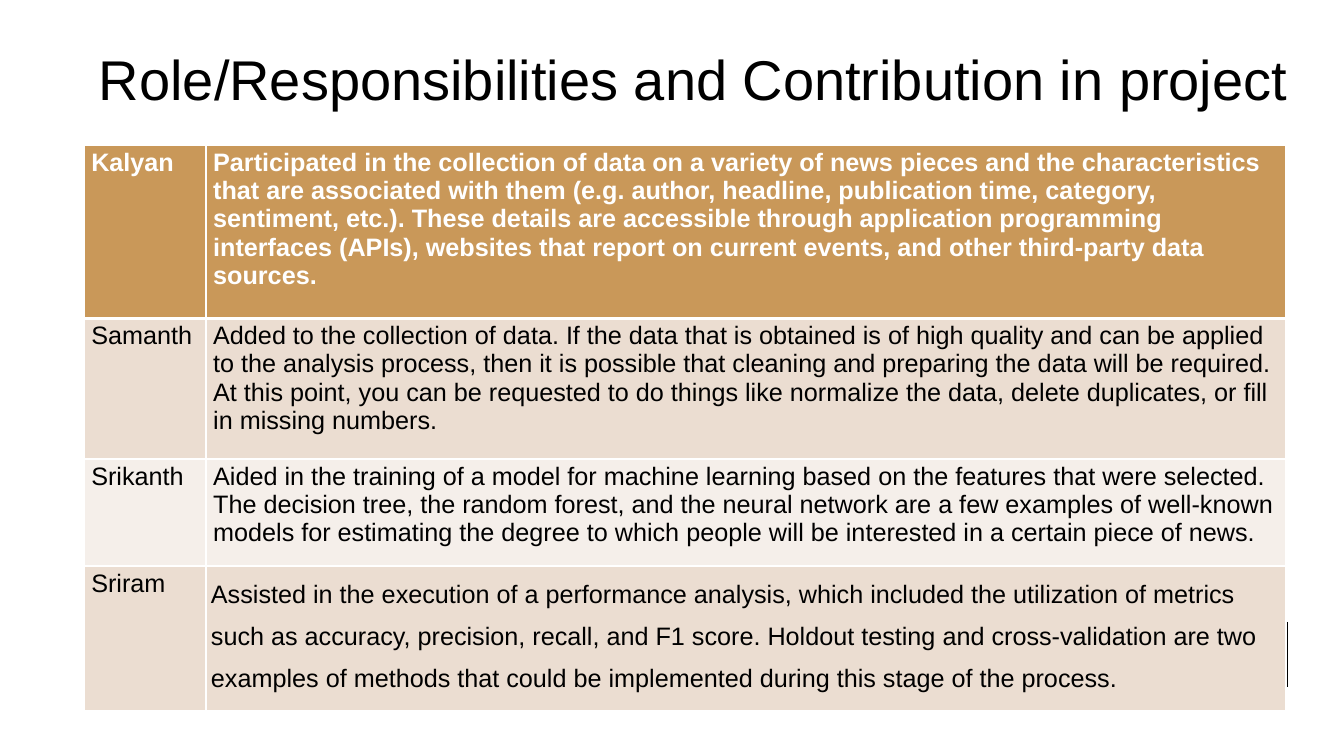
from lxml import etree
from pptx import Presentation
from pptx.dml.color import RGBColor
from pptx.enum.text import MSO_ANCHOR, MSO_AUTO_SIZE, PP_ALIGN
from pptx.oxml.ns import qn
from pptx.util import Pt

CENTER, LEFT = PP_ALIGN.CENTER, PP_ALIGN.LEFT
MIDDLE, TOP = MSO_ANCHOR.MIDDLE, MSO_ANCHOR.TOP
NO_AUTOFIT = MSO_AUTO_SIZE.NONE

# Content
TITLE = "Role/Responsibilities and Contribution in project"
ROLES = [
    ("Kalyan", "Participated in the collection of data on a variety of news pieces and the "
     "characteristics that are associated with them (e.g. author, headline, publication time, "
     "category, sentiment, etc.). These details are accessible through application programming "
     "interfaces (APIs), websites that report on current events, and other third-party data "
     "sources."),
    ("Samanth", "Added to the collection of data. If the data that is obtained is of high quality "
     "and can be applied to the analysis process, then it is possible that cleaning and preparing "
     "the data will be required. At this point, you can be requested to do things like normalize "
     "the data, delete duplicates, or fill in missing numbers."),
    ("Srikanth", "Aided in the training of a model for machine learning based on the features that "
     "were selected. The decision tree, the random forest, and the neural network are a few "
     "examples of well-known models for estimating the degree to which people will be interested "
     "in a certain piece of news."),
    ("Sriram", "Assisted in the execution of a performance analysis, which included the "
     "utilization of metrics such as accuracy, precision, recall, and F1 score. Holdout testing "
     "and cross-validation are two examples of methods that could be implemented during this "
     "stage of the process."),
]

# Format, lengths in points
COLORS = {"text": "000000", "white": "FFFFFF", "header": "C99859",
          "band_dark": "EBDDD1", "band_light": "F5EFEA"}
FONT = "Arial"
TABLE_LEFT, TABLE_TOP = 60, 103.7
COLUMN_WIDTHS = [87.1, 771.5]
ROW_HEIGHTS = [123.8, 100.4, 76.5, 103.2]
CELL_MARGINS = (5.2, 2.4)
LAST_MARGINS = (3.6, 0)


def write_text(frame, text, size=18, color="text", bold=False, align=LEFT, spacing=1.0):
    paragraph = frame.paragraphs[0]
    paragraph.alignment = align
    paragraph.line_spacing = spacing
    run = paragraph.add_run()
    run.text = text
    run.font.name = FONT
    run.font.size = Pt(size)
    run.font.bold = bold
    run.font.color.rgb = RGBColor.from_string(COLORS[color])


def set_borders(cell, bottom_width):
    properties = cell._tc.get_or_add_tcPr()
    for tag, width in (("lnL", 1), ("lnR", 1), ("lnT", 1), ("lnB", bottom_width)):
        border = etree.SubElement(properties, qn("a:" + tag), w=str(Pt(width)))
        fill = etree.SubElement(border, qn("a:solidFill"))
        etree.SubElement(fill, qn("a:srgbClr"), val=COLORS["white"])


presentation = Presentation()
presentation.slide_width, presentation.slide_height = Pt(960), Pt(540)
slide = presentation.slides.add_slide(presentation.slide_layouts[5])

# Title
title = slide.shapes.title
title.left, title.top, title.width, title.height = Pt(48.2), Pt(13), Pt(893.5), Pt(91.4)
title.text_frame.word_wrap = True
title.text_frame.auto_size = NO_AUTOFIT
title.text_frame.vertical_anchor = MIDDLE
write_text(title.text_frame, TITLE, size=40, align=CENTER, spacing=0.9)

# Short rule at the right edge, partly under the table
rule = slide.shapes.add_connector(1, Pt(918.7), Pt(444.2), Pt(918.7), Pt(491))
rule.line.color.rgb = RGBColor.from_string(COLORS["text"])
rule.line.width = Pt(3)
etree.SubElement(rule._element.spPr, qn("a:effectLst"))

# Table of roles
table = slide.shapes.add_table(
    len(ROLES), len(COLUMN_WIDTHS), Pt(TABLE_LEFT), Pt(TABLE_TOP),
    Pt(sum(COLUMN_WIDTHS)), Pt(sum(ROW_HEIGHTS))).table
for column, width in zip(table.columns, COLUMN_WIDTHS):
    column.width = Pt(width)

for row_index, (role, height) in enumerate(zip(ROLES, ROW_HEIGHTS)):
    table.rows[row_index].height = Pt(height)
    is_header = row_index == 0
    band = "header" if is_header else "band_dark" if row_index % 2 else "band_light"
    for column_index, text in enumerate(role):
        cell = table.cell(row_index, column_index)
        is_last = (row_index, column_index) == (len(ROLES) - 1, 1)
        side, edge = LAST_MARGINS if is_last else CELL_MARGINS
        cell.margin_left = cell.margin_right = Pt(side)
        cell.margin_top = cell.margin_bottom = Pt(edge)
        cell.vertical_anchor = TOP
        set_borders(cell, 3 if is_header else 1)
        cell.fill.solid()
        cell.fill.fore_color.rgb = RGBColor.from_string(COLORS[band])
        write_text(cell.text_frame, text, bold=is_header,
                   color="white" if is_header else "text", spacing=1.5 if is_last else 1.0)

presentation.save("out.pptx")
